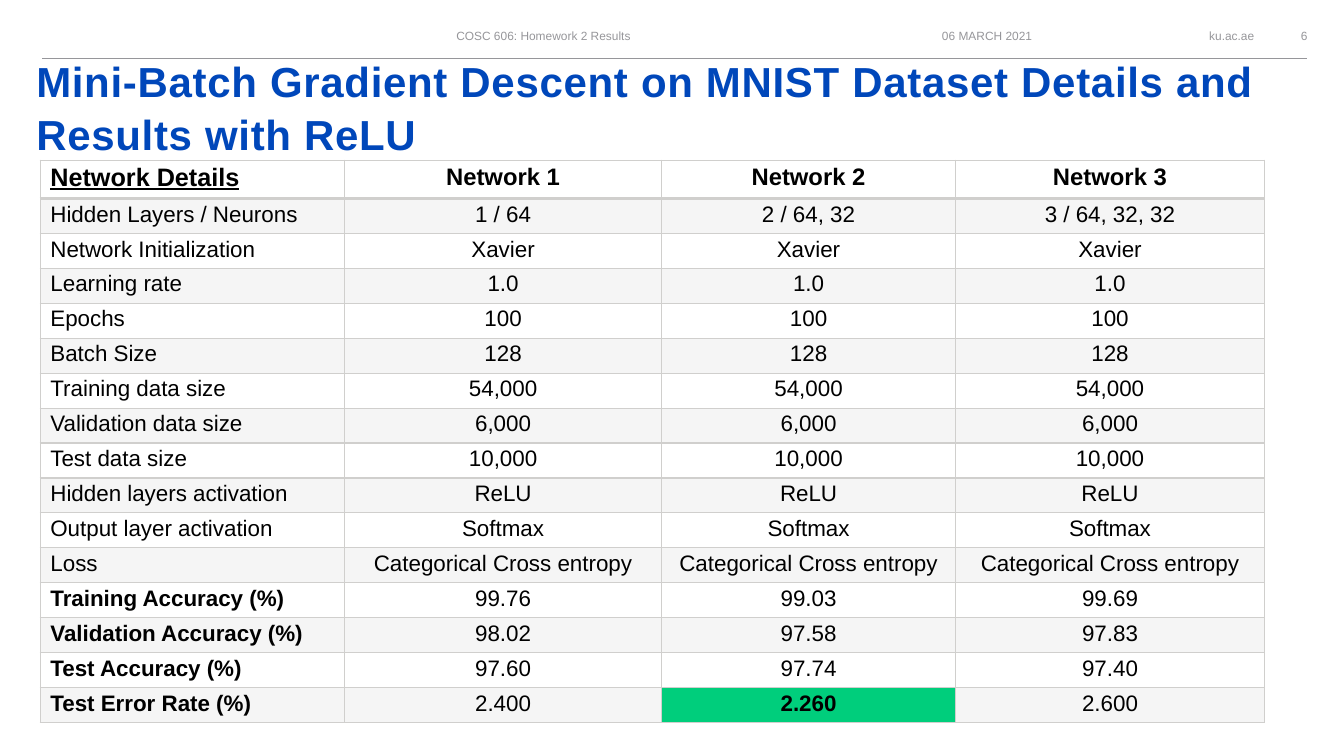
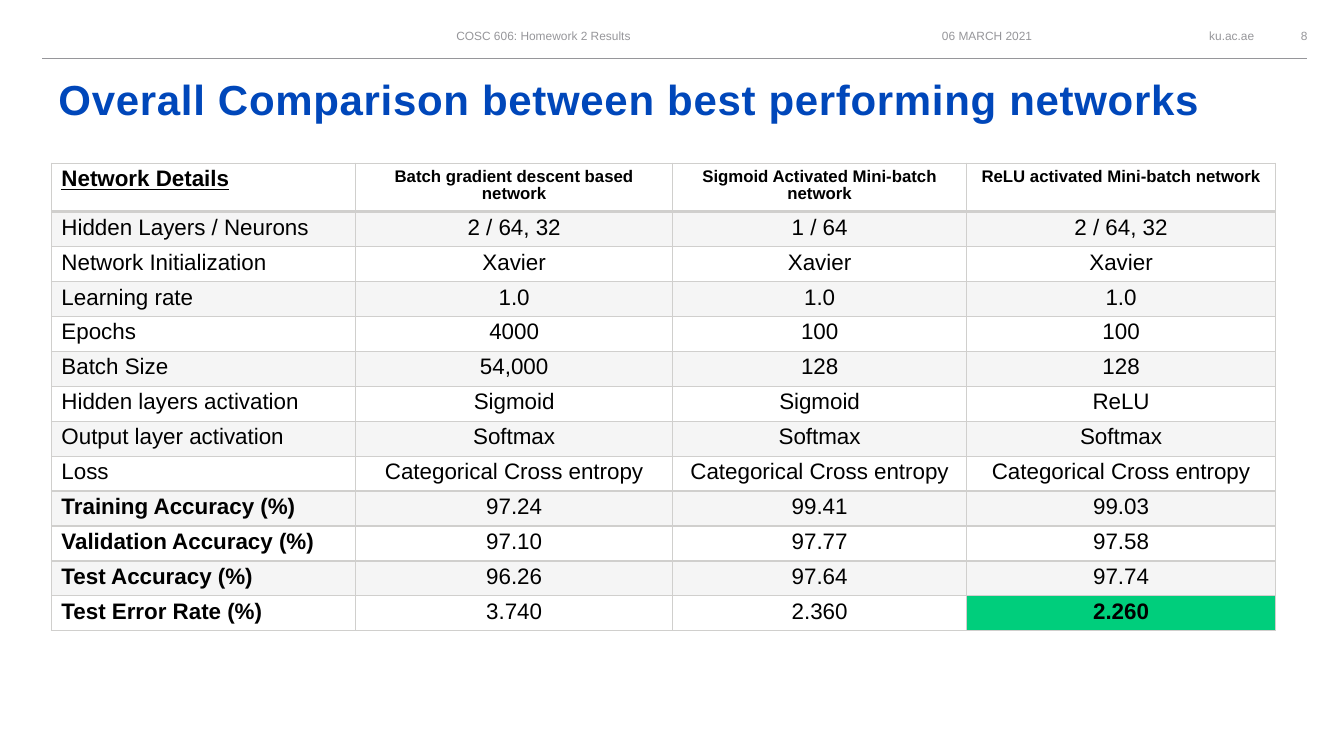
import pptx
import pptx.dml.color
import pptx.enum.shapes
import pptx.enum.text
import pptx.oxml
import pptx.oxml.ns
import pptx.util

Inches = pptx.util.Inches
Align = pptx.enum.text.PP_ALIGN
Anchor = pptx.enum.text.MSO_ANCHOR

FONT = "Arial"
BLUE, GREY, BLACK = "0047BA", "96969A", "000000"
BORDER, HIGHLIGHT = "D0CFCD", "00CE7C"
COLUMNS = [3.02, 3.14, 2.92, 3.06]
ROW_HEIGHT = 5.2 / 15
BEST_ERROR = "2.260"

NETWORK = [
    ("Network Initialization", ["Xavier"] * 3),
    ("Learning rate", ["1.0"] * 3),
]
OUTPUT = [
    ("Output layer activation", ["Softmax"] * 3),
    ("Loss", ["Categorical Cross entropy"] * 3),
]
RELU_ROWS = [
    ("Hidden Layers / Neurons", ["1 / 64", "2 / 64, 32", "3 / 64, 32, 32"]),
    *NETWORK,
    ("Epochs", ["100"] * 3),
    ("Batch Size", ["128"] * 3),
    ("Training data size", ["54,000"] * 3),
    ("Validation data size", ["6,000"] * 3),
    ("Test data size", ["10,000"] * 3),
    ("Hidden layers activation", ["ReLU"] * 3),
    *OUTPUT,
    ("Training Accuracy (%)", ["99.76", "99.03", "99.69"]),
    ("Validation Accuracy (%)", ["98.02", "97.58", "97.83"]),
    ("Test Accuracy (%)", ["97.60", "97.74", "97.40"]),
    ("Test Error Rate (%)", ["2.400", BEST_ERROR, "2.600"]),
]
OVERALL_ROWS = [
    ("Hidden Layers / Neurons", ["2 / 64, 32", "1 / 64", "2 / 64, 32"]),
    *NETWORK,
    ("Epochs", ["4000", "100", "100"]),
    ("Batch Size", ["54,000", "128", "128"]),
    ("Hidden layers activation", ["Sigmoid", "Sigmoid", "ReLU"]),
    *OUTPUT,
    ("Training Accuracy (%)", ["97.24", "99.41", "99.03"]),
    ("Validation Accuracy (%)", ["97.10", "97.77", "97.58"]),
    ("Test Accuracy (%)", ["96.26", "97.64", "97.74"]),
    ("Test Error Rate (%)", ["3.740", "2.360", BEST_ERROR]),
]


def rgb(color):
    return pptx.dml.color.RGBColor.from_string(color)


def write(frame, text, size, color, alignment, bold=False, underline=False, spacing=1.0):
    frame.text = text
    paragraph = frame.paragraphs[0]
    paragraph.alignment = alignment
    paragraph.line_spacing = spacing
    font = paragraph.font
    font.name, font.size, font.color.rgb = FONT, pptx.util.Pt(size), rgb(color)
    font.bold, font.underline = bold, underline
    return paragraph


def set_frame(frame, anchor):
    frame.word_wrap = True
    frame.auto_size = pptx.enum.text.MSO_AUTO_SIZE.NONE
    frame.vertical_anchor = anchor
    frame.margin_left = frame.margin_right = frame.margin_top = frame.margin_bottom = 0


def add_header_band(slide, number):
    top, height = 0.22, 0.27
    for text, left, width, alignment in [
        ("ku.ac.ae", 11.39, 1.05, Align.RIGHT),
        ("06 MARCH 2021", 8.84, 1.9, Align.CENTER),
        ("COSC 606: Homework 2 Results", 3.14, 4.5, Align.CENTER),
        (number, 12.65, 0.57, Align.CENTER),
    ]:
        box = slide.shapes.add_textbox(*map(Inches, (left, top, width, height)))
        set_frame(box.text_frame, Anchor.MIDDLE)
        write(box.text_frame, text, 8.5, GREY, alignment)
    rule = slide.shapes.add_connector(
        pptx.enum.shapes.MSO_CONNECTOR.STRAIGHT, *map(Inches, (0.42, 0.58, 12.96, 0.58)))
    rule.line.color.rgb = rgb(GREY)
    rule.line.width = pptx.util.Pt(0.75)
    rule._element.spPr.append(pptx.oxml.parse_xml(
        f'<a:effectLst {pptx.oxml.ns.nsdecls("a")}/>'))


def set_title(slide, text, box):
    title = slide.shapes.title
    title.left, title.top, title.width, title.height = map(Inches, box)
    set_frame(title.text_frame, Anchor.BOTTOM)
    paragraph = write(title.text_frame, text, 30, BLUE, Align.LEFT, bold=True, spacing=1.05)
    paragraph.runs[0]._r.get_or_add_rPr().set("spc", "50")


def set_borders(cell, top, bottom):
    properties = cell._tc.get_or_add_tcPr()
    for position, (side, points) in enumerate(
            [("L", 1), ("R", 1), ("T", top), ("B", bottom)]):
        properties.insert(position, pptx.oxml.parse_xml(
            f'<a:ln{side} {pptx.oxml.ns.nsdecls("a")} w="{pptx.util.Pt(points)}">'
            f'<a:solidFill><a:srgbClr val="{BORDER}"/></a:solidFill></a:ln{side}>'))


def set_fill(cell, color, opacity=100):
    cell.fill.solid()
    cell.fill.fore_color.rgb = rgb(color)
    if opacity < 100:
        color_element = cell._tc.tcPr.find(".//" + pptx.oxml.ns.qn("a:srgbClr"))
        color_element.append(pptx.oxml.parse_xml(
            f'<a:alpha {pptx.oxml.ns.nsdecls("a")} val="{opacity * 1000}"/>'))


def add_results_table(slide, left, top, header_height, networks, rows, label_size, network_size):
    heights = [header_height] + [ROW_HEIGHT] * len(rows)
    frame = slide.shapes.add_table(
        len(heights), len(COLUMNS),
        *map(Inches, (left, top, sum(COLUMNS), sum(heights))))
    table = frame.table
    table.first_row = table.horz_banding = False
    for column, width in zip(table.columns, COLUMNS):
        column.width = Inches(width)
    for row, height in zip(table.rows, heights):
        row.height = Inches(height)
    for row_index, (label, values) in enumerate([("Network Details", networks), *rows]):
        is_header = row_index == 0
        for column_index, text in enumerate([label, *values]):
            cell = table.cell(row_index, column_index)
            is_label = column_index == 0
            is_best = text == BEST_ERROR
            if is_header:
                size = label_size if is_label else network_size
            else:
                size = 16
            write(cell.text_frame, text, size, BLACK,
                  Align.LEFT if is_label else Align.CENTER,
                  bold=is_header or is_best or (is_label and text.endswith("(%)")),
                  underline=is_header and is_label, spacing=0.93)
            if is_best:
                set_fill(cell, HIGHLIGHT)
            elif row_index % 2:
                set_fill(cell, BORDER, 20)
            else:
                cell.fill.background()
            set_borders(cell, 2 if row_index == 1 else 1, 2 if is_header else 1)


def add_results_slide(presentation, number, title, title_box, **table):
    slide = presentation.slides.add_slide(presentation.slide_layouts[5])
    add_header_band(slide, number)
    set_title(slide, title, title_box)
    add_results_table(slide, **table)


presentation = pptx.Presentation()
presentation.slide_width = Inches(13.33)
presentation.slide_height = Inches(7.5)
add_results_slide(
    presentation, "6",
    "Mini-Batch Gradient Descent on MNIST Dataset Details and Results with ReLU",
    (0.36, 0.36, 12.75, 1.22),
    left=0.4, top=1.59, header_height=0.38,
    networks=["Network 1", "Network 2", "Network 3"],
    rows=RELU_ROWS, label_size=18, network_size=17)
add_results_slide(
    presentation, "8",
    "Overall Comparison between best performing networks",
    (0.58, 0.61, 12.39, 0.62),
    left=0.51, top=1.62, header_height=0.48,
    networks=["Batch gradient descent based network",
              "Sigmoid Activated Mini-batch network",
              "ReLU activated Mini-batch network"],
    rows=OVERALL_ROWS, label_size=16, network_size=12)
presentation.save("out.pptx")
